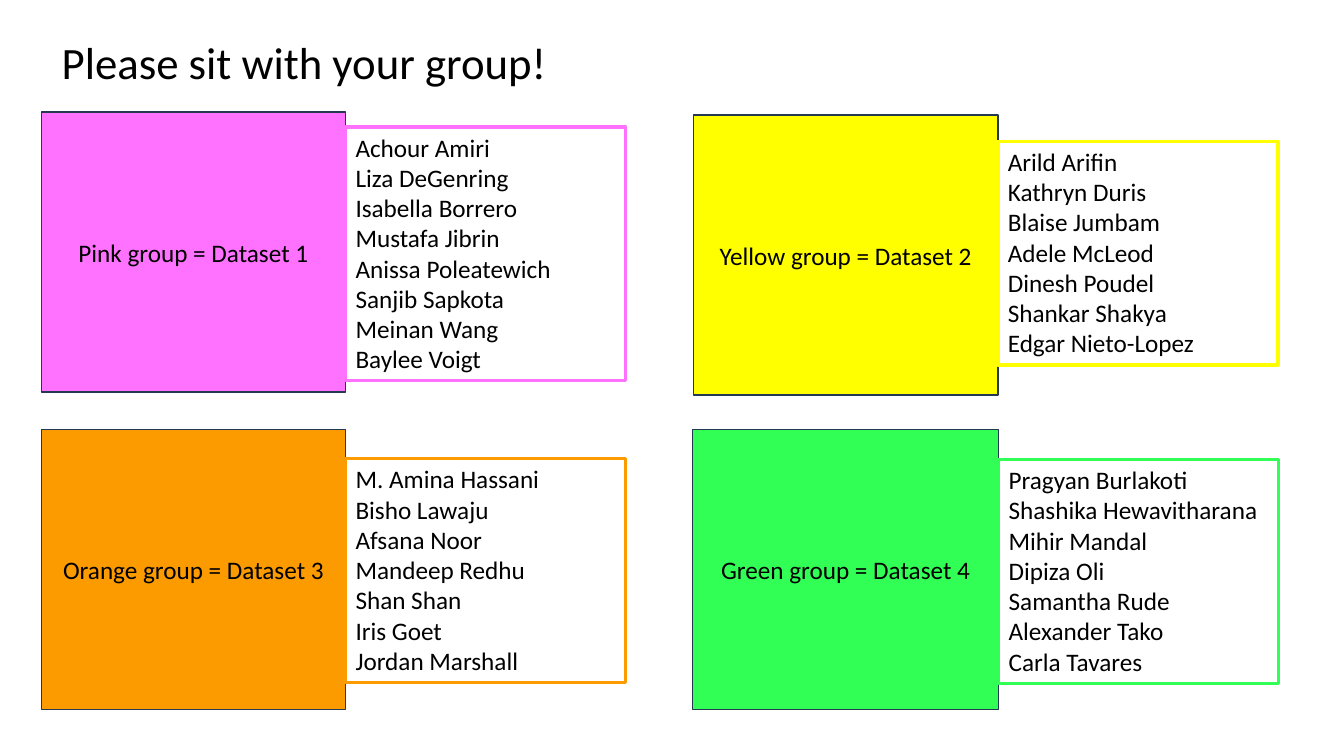
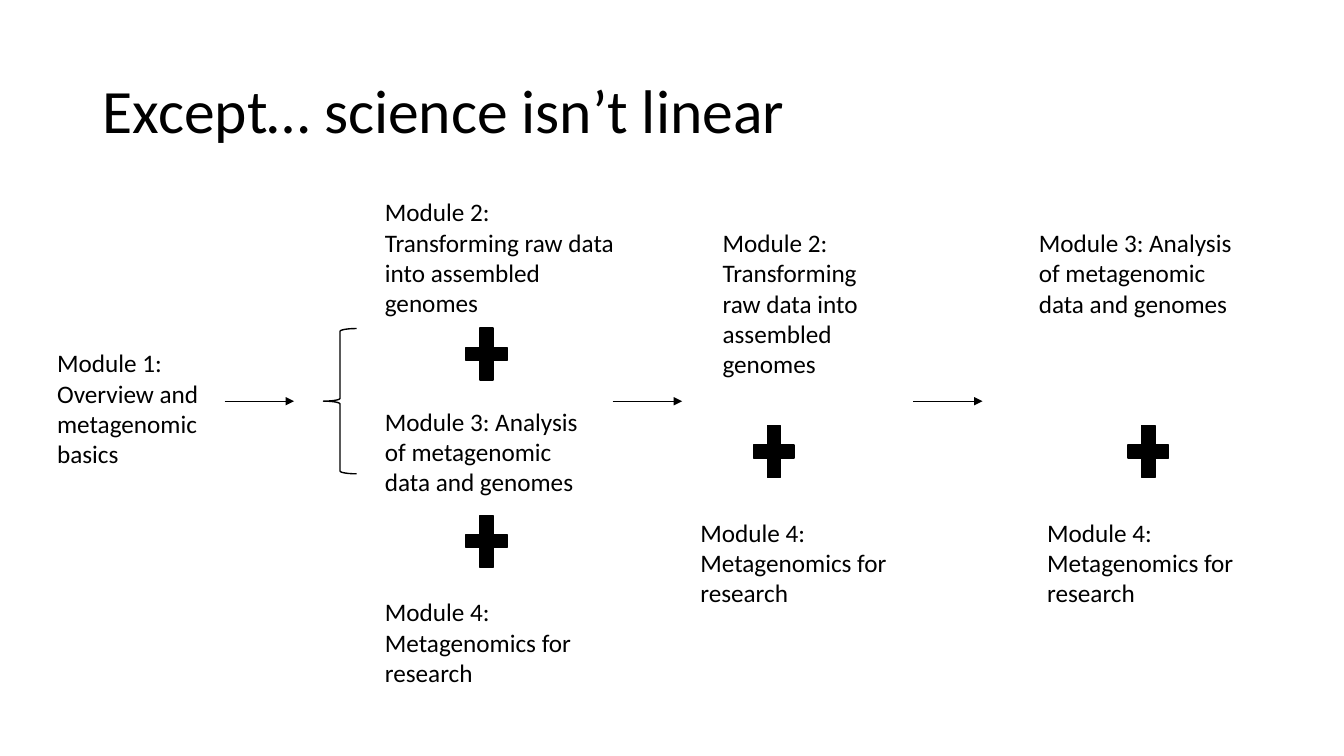
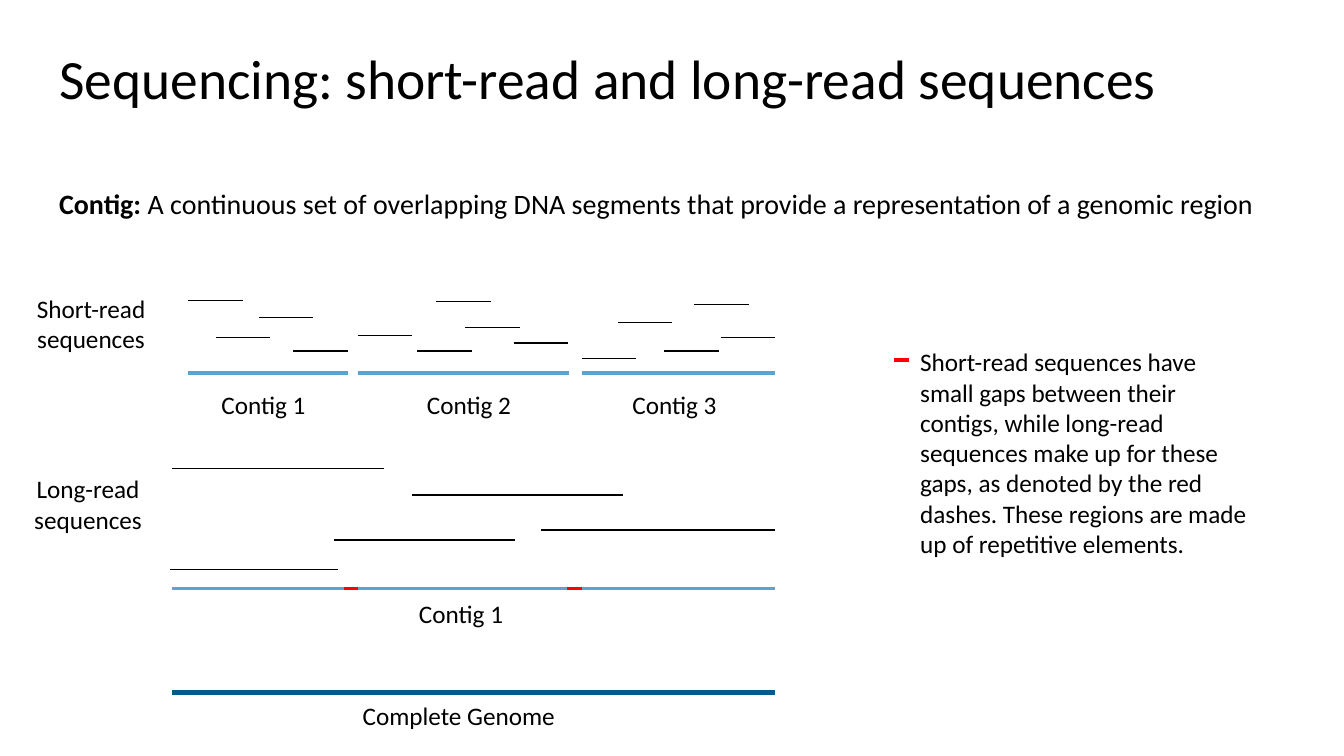
from dataclasses import dataclass
from typing import NamedTuple

from pptx import Presentation
from pptx.dml.color import RGBColor
from pptx.enum.shapes import MSO_CONNECTOR, MSO_SHAPE
from pptx.enum.text import MSO_ANCHOR, MSO_AUTO_SIZE, PP_ALIGN
from pptx.oxml.ns import qn
from pptx.util import Cm, Pt

FONT = "Calibri"
BLACK = RGBColor(0x00, 0x00, 0x00)
NAVY = RGBColor(0x23, 0x39, 0x53)
PINK = RGBColor(0xFF, 0x71, 0xFF)
YELLOW = RGBColor(0xFF, 0xFF, 0x00)
ORANGE = RGBColor(0xFC, 0x9B, 0x00)
GREEN = RGBColor(0x31, 0xFF, 0x56)
SKY = RGBColor(0x5B, 0xA4, 0xCF)
DEEP_BLUE = RGBColor(0x05, 0x5A, 0x8C)
RED = RGBColor(0xFF, 0x00, 0x00)


class Box(NamedTuple):
    left: float
    top: float
    width: float
    height: float

    def emu(self) -> list[Cm]:
        return [Cm(v) for v in self]


class Read(NamedTuple):
    start: float
    end: float
    y: float


@dataclass
class Group:
    label: str
    color: RGBColor
    card: Box
    roster_top: float
    names: list[str]


@dataclass
class Module:
    text: str
    box: Box


OVERVIEW = "Module 1: Overview and metagenomic basics"
TRANSFORM = "Module 2: Transforming raw data into assembled genomes"
ANALYSIS = "Module 3: Analysis of metagenomic data and genomes"
RESEARCH = "Module 4: Metagenomics for research"

GROUPS = [
    Group("Pink group = Dataset 1", PINK, Box(1.04, 2.82, 7.67, 7.06), 3.2,
          ["Achour Amiri", "Liza DeGenring", "Isabella Borrero", "Mustafa Jibrin",
           "Anissa Poleatewich", "Sanjib Sapkota", "Meinan Wang", "Baylee Voigt"]),
    Group("Yellow group = Dataset 2", YELLOW, Box(17.48, 2.9, 7.67, 7.06), 3.56,
          ["Arild Arifin", "Kathryn Duris", "Blaise Jumbam", "Adele McLeod",
           "Dinesh Poudel", "Shankar Shakya", "Edgar Nieto-Lopez"]),
    Group("Orange group = Dataset 3", ORANGE, Box(1.04, 10.82, 7.67, 7.06), 11.56,
          ["M. Amina Hassani", "Bisho Lawaju", "Afsana Noor", "Mandeep Redhu",
           "Shan Shan", "Iris Goet", "Jordan Marshall"]),
    Group("Green group = Dataset 4", GREEN, Box(17.45, 10.82, 7.72, 7.06), 11.58,
          ["Pragyan Burlakoti", "Shashika Hewavitharana", "Mihir Mandal", "Dipiza Oli",
           "Samantha Rude", "Alexander Tako", "Carla Tavares"]),
]

MODULES = [
    Module(OVERVIEW, Box(1.19, 8.64, 4.83, 3.33)),
    Module(TRANSFORM, Box(9.45, 4.83, 6.45, 3.33)),
    Module(ANALYSIS, Box(9.45, 10.11, 5.61, 2.57)),
    Module(RESEARCH, Box(9.45, 14.91, 5.61, 2.57)),
    Module(TRANSFORM, Box(17.96, 5.61, 4.17, 4.11)),
    Module(RESEARCH, Box(17.4, 12.9, 5.61, 2.57)),
    Module(ANALYSIS, Box(25.93, 5.61, 5.61, 2.57)),
    Module(RESEARCH, Box(26.14, 12.9, 5.61, 2.57)),
]
PLUSES = [(11.56, 8.03), (11.56, 12.75), (18.8, 10.49), (28.24, 10.49)]
ARROW_STARTS = [5.66, 15.44, 23.01]
ARROW_Y, ARROW_LENGTH = 10.11, 1.75

SHORT_LENGTH = 1.37
SHORT_READS = [
    (4.75, 7.57), (5.44, 8.51), (6.53, 8.0), (7.39, 8.84), (9.02, 8.46),
    (10.52, 8.84), (11.0, 7.59), (12.95, 8.64), (11.73, 8.26), (14.66, 9.04),
    (15.57, 8.13), (16.74, 8.84), (17.5, 7.67), (18.16, 8.51),
]
LONG_READS = [
    Read(4.29, 8.53, 14.35), Read(8.41, 12.98, 13.61), Read(13.64, 19.53, 13.36),
    Read(10.39, 15.7, 12.47), Read(4.34, 9.68, 11.81),
]
CONTIGS = [Read(4.75, 8.76, 9.4), Read(9.02, 14.33, 9.4), Read(14.66, 19.53, 9.4)]
LONG_CONTIG = Read(4.34, 19.53, 14.83)
GENOME = Read(4.34, 19.53, 17.45)
GAPS = [Read(8.66, 9.02, 14.83), Read(14.3, 14.66, 14.83), Read(22.53, 22.91, 9.07)]


def write(tf, *lines: str, size: float = 18, lead: str = "", align=PP_ALIGN.LEFT,
          anchor=MSO_ANCHOR.TOP, spacing: float = 1.0,
          fit=MSO_AUTO_SIZE.SHAPE_TO_FIT_TEXT) -> None:
    """Fill a text frame with one paragraph per line, after an optional bold lead."""
    tf.word_wrap = True
    tf.auto_size = fit
    tf.vertical_anchor = anchor
    for i, line in enumerate(lines):
        p = tf.paragraphs[0] if i == 0 else tf.add_paragraph()
        p.alignment = align
        p.line_spacing = spacing
        for text, bold in ((lead, True), (line, False)):
            if text:
                r = p.add_run()
                r.text = text
                r.font.name = FONT
                r.font.size = Pt(size)
                r.font.bold = bold
                r.font.color.rgb = BLACK


def add_slide(prs, title: str, box: Box, size: float, spacing: float = 0.9):
    """Add a title-only slide with its title placed and formatted."""
    s = prs.slides.add_slide(prs.slide_layouts[5])
    sp = s.shapes.title
    sp.left, sp.top, sp.width, sp.height = box.emu()
    write(sp.text_frame, title, size=size, spacing=spacing,
          anchor=MSO_ANCHOR.MIDDLE, fit=MSO_AUTO_SIZE.NONE)
    return s


def add_text(s, text: str, box: Box, **fmt) -> None:
    """Add a wrapped text box."""
    write(s.shapes.add_textbox(*box.emu()).text_frame, text, **fmt)


def add_shape(s, kind, box: Box, line: RGBColor, fill: RGBColor | None = None,
              weight: float = 1):
    """Add a preset shape with a flat fill, or none, and an outline."""
    sp = s.shapes.add_shape(kind, *box.emu())
    sp.shadow.inherit = False
    if fill is None:
        sp.fill.background()
    else:
        sp.fill.solid()
        sp.fill.fore_color.rgb = fill
    sp.line.color.rgb = line
    sp.line.width = Pt(weight)
    return sp


def add_line(s, read: Read, color: RGBColor = BLACK, weight: float = 1,
             arrow: bool = False) -> None:
    """Add a horizontal line, optionally ending in an arrowhead."""
    y = Cm(read.y)
    cx = s.shapes.add_connector(MSO_CONNECTOR.STRAIGHT, Cm(read.start), y, Cm(read.end), y)
    cx.line.color.rgb = color
    cx.line.width = Pt(weight)
    spPr = cx._element.spPr
    if arrow:
        ln = spPr.find(qn("a:ln"))
        ln.append(ln.makeelement(qn("a:tailEnd"), {"type": "triangle"}))
    spPr.append(spPr.makeelement(qn("a:effectLst"), {}))


def groups_slide(prs) -> None:
    """Draw the four group cards with their rosters."""
    s = add_slide(prs, "Please sit with your group!", Box(1.3, 0.74, 30.02, 1.63), 32, 1.0)
    for g in GROUPS:
        sp = add_shape(s, MSO_SHAPE.RECTANGLE, g.card, NAVY, g.color)
        write(sp.text_frame, g.label, align=PP_ALIGN.CENTER,
              anchor=MSO_ANCHOR.MIDDLE, fit=MSO_AUTO_SIZE.NONE)
        roster = Box(g.card.left + g.card.width, g.roster_top, 7.06,
                     0.32 + 0.76 * len(g.names))
        sp = add_shape(s, MSO_SHAPE.RECTANGLE, roster, g.color, weight=2.25)
        write(sp.text_frame, *g.names)


def modules_slide(prs) -> None:
    """Draw the branching flow of modules."""
    s = add_slide(prs, "Except… science isn’t linear", Box(2.34, 1.02, 29.21, 3.68), 44)
    for m in MODULES:
        add_text(s, m.text, m.box)
    for x, y in PLUSES:
        add_shape(s, MSO_SHAPE.MATH_PLUS, Box(x, y, 1.4, 1.78), BLACK, BLACK)
    for x in ARROW_STARTS:
        add_line(s, Read(x, x + ARROW_LENGTH, ARROW_Y), arrow=True)
    add_shape(s, MSO_SHAPE.LEFT_BRACE, Box(8.15, 8.28, 0.84, 3.66), BLACK)


def sequencing_slide(prs) -> None:
    """Draw short and long reads above the contigs they assemble into."""
    s = add_slide(prs, "Sequencing: short-read and long-read sequences",
                  Box(1.24, 0.46, 29.21, 3.2), 39.6)
    add_text(s, "A continuous set of overlapping DNA segments that provide a "
             "representation of a genomic region", Box(1.24, 4.57, 31.22, 1.12),
             size=20, lead="Contig: ")
    add_text(s, "Short-read sequences", Box(0.3, 7.26, 3.99, 1.8), align=PP_ALIGN.CENTER)
    add_text(s, "Long-read sequences", Box(0.3, 11.81, 3.84, 1.8), align=PP_ALIGN.CENTER)
    for x, y in SHORT_READS:
        add_line(s, Read(x, x + SHORT_LENGTH, y))
    for i, contig in enumerate(CONTIGS):
        add_line(s, contig, SKY, 2.25)
        add_text(s, f"Contig {i + 1}", Box(5.33 + 5.18 * i, 9.69, 2.79, 1.02))
    for read in LONG_READS:
        add_line(s, read)
    add_line(s, LONG_CONTIG, SKY, 2.25)
    add_text(s, "Contig 1", Box(10.31, 14.96, 2.79, 1.02))
    add_line(s, GENOME, DEEP_BLUE, 3)
    add_text(s, "Complete Genome", Box(8.89, 17.53, 5.89, 1.02))
    for gap in GAPS:
        add_line(s, gap, RED, 2.25)
    add_text(s, "Short-read sequences have small gaps between their contigs, while "
             "long-read sequences make up for these gaps, as denoted by the red dashes. "
             "These regions are made up of repetitive elements.",
             Box(22.94, 8.61, 8.76, 5.64))


def main() -> None:
    """Build and save the presentation."""
    prs = Presentation()
    prs.slide_width, prs.slide_height = Cm(33.87), Cm(19.05)
    groups_slide(prs)
    modules_slide(prs)
    sequencing_slide(prs)
    prs.save("out.pptx")


if __name__ == "__main__":
    main()
